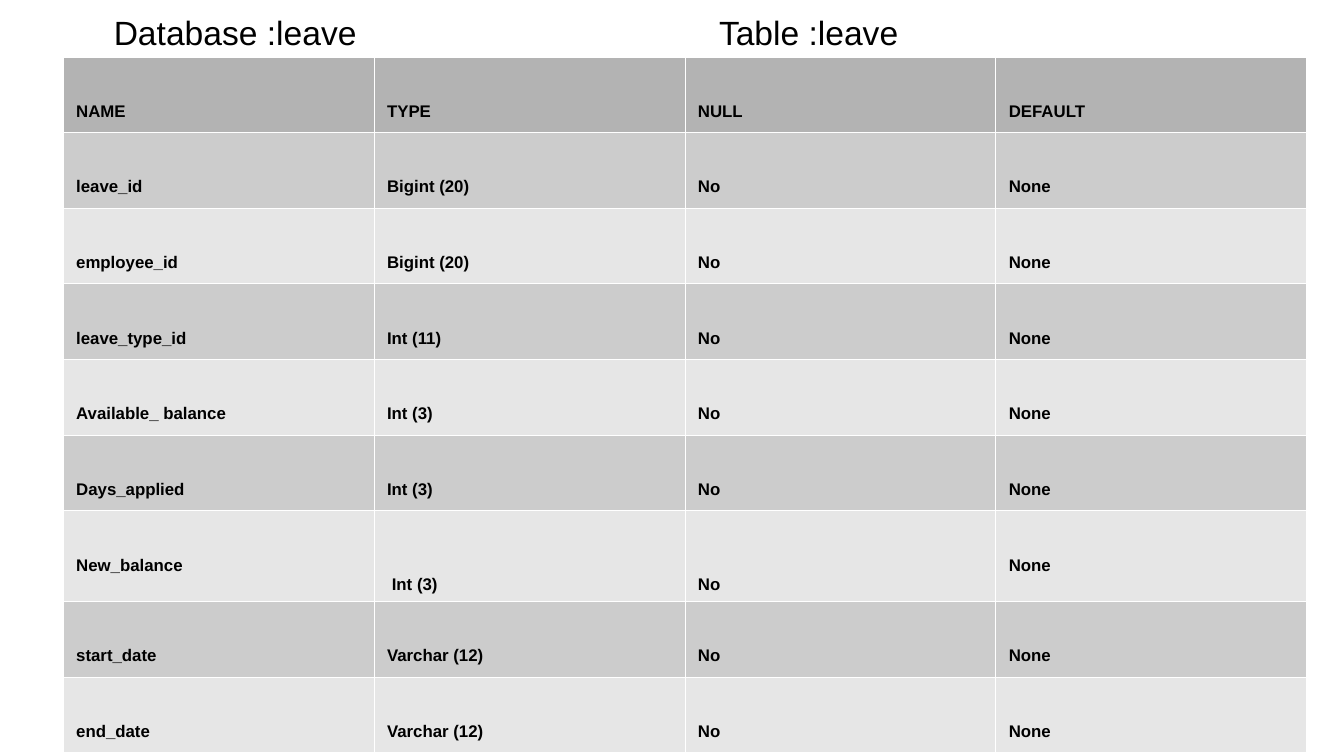
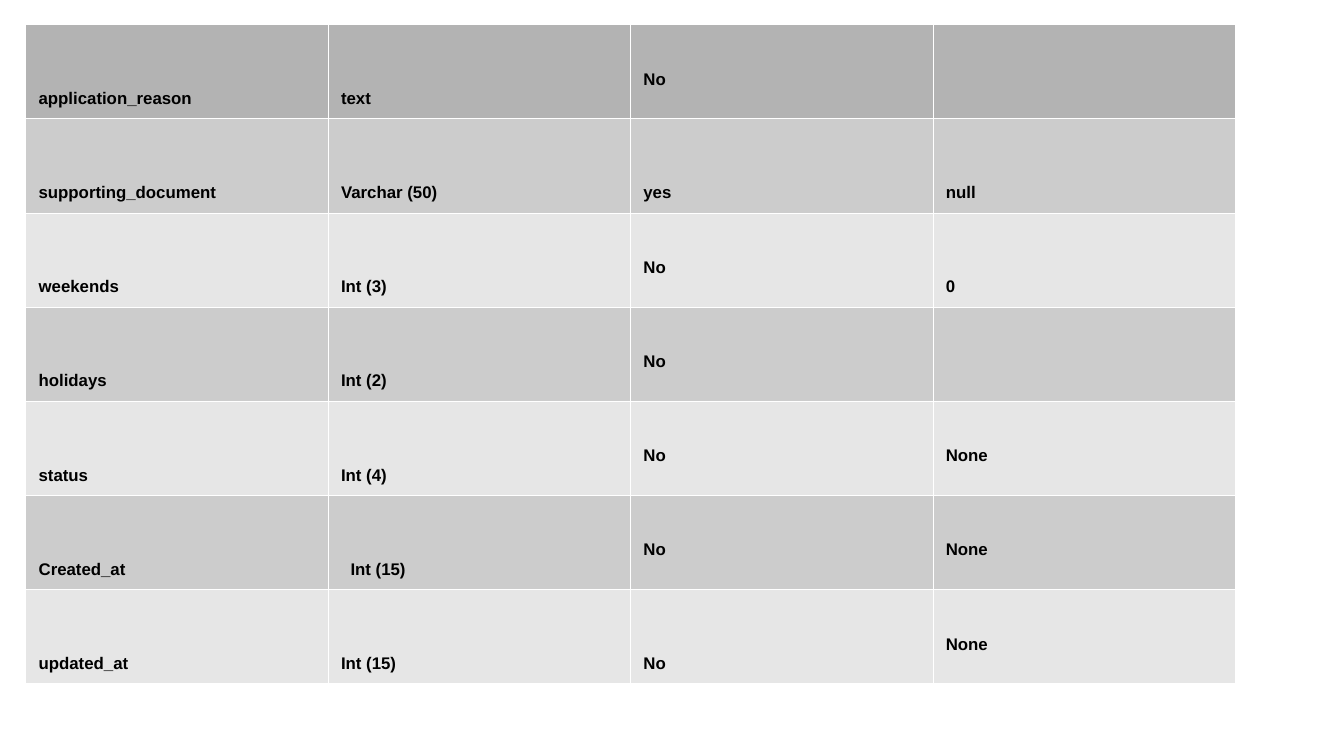
from lxml import etree
from pptx import Presentation
from pptx.dml.color import RGBColor
from pptx.enum.text import MSO_ANCHOR as Anchor, MSO_AUTO_SIZE as AutoSize, PP_ALIGN as Align
from pptx.oxml.ns import qn
from pptx.util import Cm, Pt

BLACK = RGBColor(0x00, 0x00, 0x00)
WHITE = RGBColor(0xFF, 0xFF, 0xFF)
HEADER = RGBColor(0xB3, 0xB3, 0xB3)
BANDS = (RGBColor(0xCC, 0xCC, 0xCC), RGBColor(0xE6, 0xE6, 0xE6))

TITLE_ONLY, BLANK = 5, 6


class Deck:
    """Holds the shared style and the slide being built."""
    heading = dict(name="Arial", size=Pt(18), bold=False)
    cell_font = dict(name="Arial", size=Pt(9), bold=True)
    insets = dict(margin_left=Cm(0.25), margin_right=Cm(0.25),
                  margin_top=Cm(0.13), margin_bottom=Cm(0.13))
    line_height = 0.365   # one line of cell text, cm
    border_width = 762    # 0.06 pt in EMU

    def __init__(self):
        self.prs = Presentation()
        self.prs.slide_width, self.prs.slide_height = Cm(25.4), Cm(14.29)

    def new_slide(self, layout):
        self.slide = self.prs.slides.add_slide(self.prs.slide_layouts[layout])

    @staticmethod
    def apply(target, values):
        for name, value in values.items():
            setattr(target, name, value)

    def add_text(self, tf, text, font):
        p = tf.paragraphs[0]
        p.alignment = Align.LEFT
        r = p.add_run()
        r.text = text
        self.apply(r.font, font)
        r.font.color.rgb = BLACK

    def style_heading(self, sp, text, left):
        self.apply(sp, dict(left=Cm(left), top=Cm(0.1), width=Cm(8.26), height=Cm(0.97)))
        tf = sp.text_frame
        self.apply(tf, dict(self.insets, word_wrap=True, auto_size=AutoSize.NONE,
                            vertical_anchor=Anchor.TOP))
        self.add_text(tf, text, self.heading)

    def title(self, text, left):
        self.style_heading(self.slide.shapes.title, text, left)

    def label(self, text, left):
        sp = self.slide.shapes.add_textbox(0, 0, Cm(1), Cm(1))
        self.style_heading(sp, text, left)

    def borders(self, cell):
        tc_pr = cell._tc.get_or_add_tcPr()
        for i, side in enumerate(("lnL", "lnR", "lnT", "lnB")):
            ln = etree.Element(qn("a:" + side), w=str(self.border_width))
            fill = etree.SubElement(ln, qn("a:solidFill"))
            etree.SubElement(fill, qn("a:srgbClr"), val=str(WHITE))
            tc_pr.insert(i, ln)

    def table(self, rows, left, top, width, row_height, drop, drops=None, indents=None):
        """drop: lines of space above the text; drops and indents: exceptions by cell."""
        drops, indents = drops or {}, indents or {}
        n_cols = len(rows[0])
        table = self.slide.shapes.add_table(
            len(rows), n_cols, Cm(left), Cm(top), Cm(width), Cm(row_height * len(rows))).table
        for column in table.columns:
            column.width = Cm(width / n_cols)
        for i, row in enumerate(rows):
            table.rows[i].height = Cm(row_height)
            for j, text in enumerate(row):
                cell = table.cell(i, j)
                self.apply(cell, dict(self.insets, vertical_anchor=Anchor.TOP))
                cell.fill.solid()
                cell.fill.fore_color.rgb = BANDS[(i - 1) % 2] if i else HEADER
                self.borders(cell)
                if text:
                    lines = drops.get((i, j), drop)
                    cell.margin_top += Cm(lines * self.line_height)
                    cell.margin_left += Cm(indents.get((i, j), 0))
                    self.add_text(cell.text_frame, text, self.cell_font)


deck = Deck()

# Slide 1: first part of the leave table, with headings
deck.new_slide(TITLE_ONLY)
deck.title("Database :leave", 1.9)
fields = [
    ("leave_id", "Bigint (20)"),
    ("employee_id", "Bigint (20)"),
    ("leave_type_id", "Int (11)"),
    ("Available_ balance", "Int (3)"),
    ("Days_applied", "Int (3)"),
    ("New_balance", "Int (3)"),
    ("start_date", "Varchar (12)"),
    ("end_date", "Varchar (12)"),
]
rows = [("NAME", "TYPE", "NULL", "DEFAULT")]
rows += [(name, kind, "No", "None") for name, kind in fields]
deck.table(rows, 1.19, 1.07, 23.5, 1.43, drop=2,
           drops={(6, 1): 3, (6, 2): 3}, indents={(6, 1): 0.09})
deck.label("Table :leave", 13.34)

# Slide 2: remaining fields
deck.new_slide(BLANK)
rows = [
    ("application_reason", "text", "No", ""),
    ("supporting_document", "Varchar (50)", "yes", "null"),
    ("weekends", "Int (3)", "No", "0"),
    ("holidays", "Int (2)", "No", ""),
    ("status", "Int (4)", "No", "None"),
    ("Created_at", "Int (15)", "No", "None"),
    ("updated_at", "Int (15)", "No", "None"),
]
raised = [(i, 2) for i in (0, 2, 3, 4, 5)] + [(i, 3) for i in (4, 5, 6)]
deck.table(rows, 0.48, 0.46, 22.86, 1.78, drop=3,
           drops=dict.fromkeys(raised, 2), indents={(5, 1): 0.18})

deck.prs.save("out.pptx")
